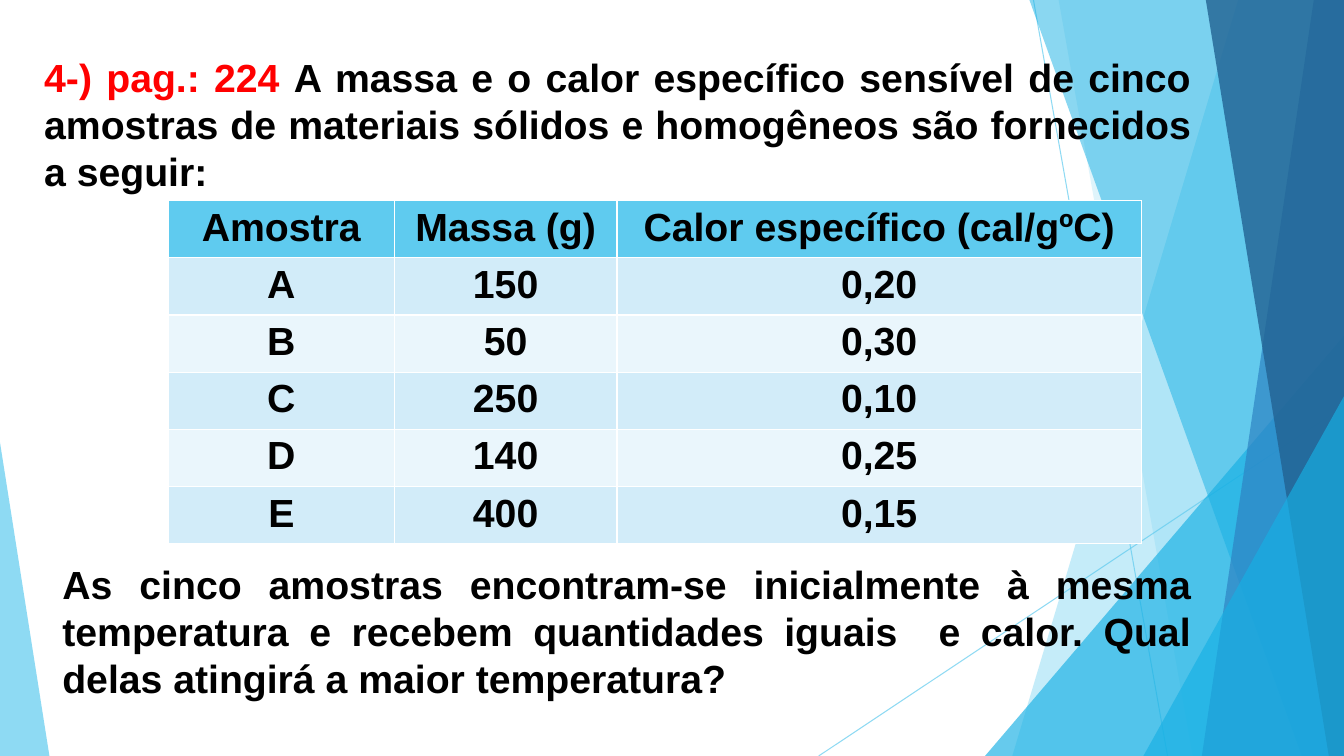
from lxml.etree import SubElement
from pptx import Presentation
from pptx.dml.color import RGBColor
from pptx.enum.shapes import MSO_CONNECTOR, MSO_SHAPE
from pptx.enum.text import MSO_AUTO_SIZE, PP_ALIGN
from pptx.oxml.ns import qn
from pptx.util import Inches, Pt

COLS, ROWS = 1333, 750
UNIT = Inches(0.01)
SKY, CYAN, BLUE, NAVY = "5FCBEF", "17B0E4", "2E83C3", "226292"
BLACK, RED = "000000", "FF0000"
LIGHT, PALE = "D2ECF9", "EAF6FC"

SAMPLES = [
    ("Amostra", "Massa (g)", "Calor específico (cal/gºC)"),
    ("A", "150", "0,20"),
    ("B", "50", "0,30"),
    ("C", "250", "0,10"),
    ("D", "140", "0,25"),
    ("E", "400", "0,15"),
]


def grid(*cells):
    return [round(c * UNIT) for c in cells]


def paint(fill, color, opacity=100):
    fill.solid()
    fill.fore_color.rgb = RGBColor.from_string(color)
    if opacity < 100:
        clr = next(fill._xPr.iter(qn("a:srgbClr")))
        SubElement(clr, qn("a:alpha"), val=str(opacity * 1000))


def finish(sp, color, opacity):
    paint(sp.fill, color, opacity)
    sp.line.fill.background()
    sp.shadow.inherit = False


def add_ray(s, x1, y1, x2, y2):
    ray = s.shapes.add_connector(MSO_CONNECTOR.STRAIGHT, *grid(x1, y1, x2, y2))
    ray.line.width = Pt(0.75)
    paint(ray.line.fill, SKY, 70)
    SubElement(ray._element.spPr, qn("a:effectLst"))


def add_band(s, box, top_x, bottom_x, color, opacity):
    x, y, w, h = box
    builder = s.shapes.build_freeform(x + top_x, y, scale=UNIT)
    builder.add_line_segments([(x + w, y), (x + w, y + h), (x + bottom_x, y + h)])
    finish(builder.convert_to_shape(), color, opacity)


def add_corner(s, box, apex, color, opacity):
    sp = s.shapes.add_shape(MSO_SHAPE.ISOSCELES_TRIANGLE, *grid(*box))
    sp.adjustments[0] = apex
    finish(sp, color, opacity)


def add_backdrop(s, box):
    x, y, w, h = box
    right, bottom = x + w, y + h
    add_ray(s, x + 21, y, x + 154, bottom)
    add_ray(s, right, y + 403, x - 192, bottom)
    add_band(s, box, 224, 0, SKY, 36)
    add_band(s, box, 46, 179, SKY, 20)
    add_corner(s, (right - 356, bottom - 417, 356, 417), 1, CYAN, 66)
    add_band(s, box, 17, 287, CYAN, 50)
    add_band(s, box, 299, 188, BLUE, 70)
    add_band(s, box, 192, 314, NAVY, 80)
    add_corner(s, (right - 199, bottom - 357, 199, 357), 1, CYAN, 66)
    add_corner(s, (0, bottom - 311, 49, 311), 0, SKY, 70)


def write(p, text, color, align):
    p.alignment = align
    r = p.add_run()
    r.text = text
    r.font.name, r.font.size, r.font.bold = "Arial", Pt(28), True
    r.font.color.rgb = RGBColor.from_string(color)


def add_statement(s, box, runs):
    tf = s.shapes.add_textbox(*grid(*box)).text_frame
    tf.word_wrap = True
    tf.auto_size = MSO_AUTO_SIZE.SHAPE_TO_FIT_TEXT
    for text, color in runs:
        write(tf.paragraphs[0], text, color, PP_ALIGN.JUSTIFY)


def add_samples(s, box, widths):
    table = s.shapes.add_table(len(SAMPLES), len(widths), *grid(*box)).table
    for column, width in zip(table.columns, widths):
        column.width = grid(width)[0]
    for i, sample in enumerate(SAMPLES):
        shade = SKY if i == 0 else (PALE, LIGHT)[i % 2]
        for j, text in enumerate(sample):
            cell = table.cell(i, j)
            paint(cell.fill, shade)
            write(cell.text_frame.paragraphs[0], text, BLACK, PP_ALIGN.CENTER)


def main():
    prs = Presentation()
    prs.slide_width, prs.slide_height = grid(COLS, ROWS)
    s = prs.slides.add_slide(prs.slide_layouts[6])
    add_backdrop(s, (1004, 0, COLS - 1004, ROWS))
    add_statement(s, (34, 48, 1157, 151), [
        ("4-) pag.: 224 ", RED),
        ("A massa e o calor específico sensível de cinco amostras de materiais "
         "sólidos e homogêneos são fornecidos a seguir:", BLACK),
    ])
    add_samples(s, (167, 199, 965, 340), (224, 221, 520))
    add_statement(s, (52, 551, 1139, 151), [
        ("As cinco amostras encontram-se inicialmente à mesma temperatura e "
         "recebem quantidades iguais  e calor. Qual delas atingirá a maior "
         "temperatura?", BLACK),
    ])
    prs.save("out.pptx")


if __name__ == "__main__":
    main()
